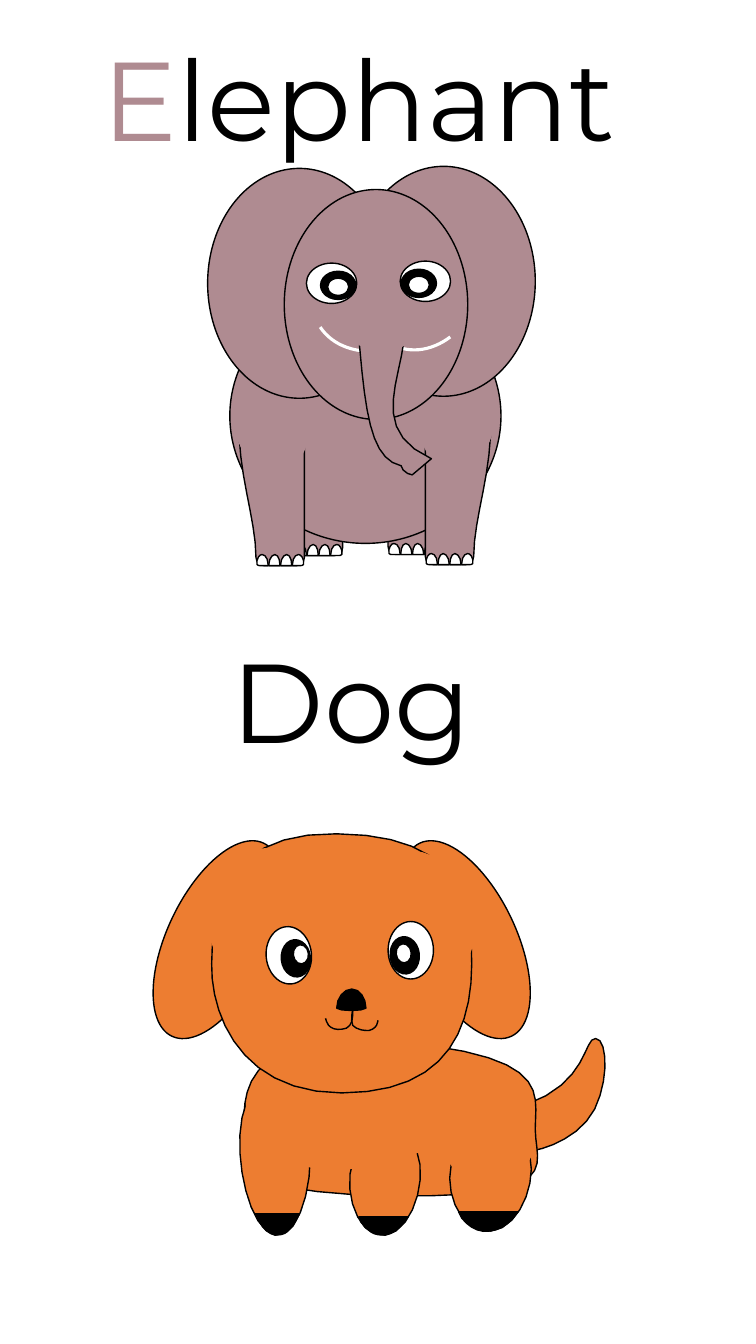
import math

import pptx
import pptx.dml.color
import pptx.enum.shapes
import pptx.enum.text
import pptx.util

RGBColor = pptx.dml.color.RGBColor
Inches = pptx.util.Inches
MSO_SHAPE = pptx.enum.shapes.MSO_SHAPE

PLUM = RGBColor(0xAF, 0x8B, 0x91)
ORANGE = RGBColor(0xED, 0x7D, 0x31)
BLACK = RGBColor(0, 0, 0)
WHITE = RGBColor(0xFF, 0xFF, 0xFF)

SMOOTHNESS = 7
TILT = -5.7
TOE_PITCH = 0.117
LEG_WIDTH = 0.65
TOE_WIDTH = 0.11

LEG = [(0.65, 0.32), (0.65, 0.28, 0.62, 0.24, 0.57, 0.24), (0.25, 0.24),
       (0.21, 0.24, 0.07, -0.04, 0.07, 0), (-0.13, 0.76, 0.17, 1.34, 0.17, 1.84),
       (0.17, 1.89, 0.21, 1.92, 0.25, 1.92), (0.57, 1.92),
       (0.62, 1.92, 0.65, 1.89, 0.65, 1.84)]
INNER_TOE = [(0.06, 0), (0.03, 0, 0, 0.05, 0, 0.1), (0, 0.11), (0.11, 0.11),
             (0.11, 0.1), (0.11, 0.05, 0.09, 0, 0.06, 0)]
OUTER_TOE = [(0.05, 0), (0.03, 0, 0.01, 0.02, 0, 0.06), (0, 0.1),
             (0.01, 0.11, 0.02, 0.11, 0.03, 0.11), (0.11, 0.11),
             (0.11, 0.1), (0.11, 0.04, 0.08, 0, 0.05, 0)]
TRUNK = [(2.02, 2.22), (2.02, 2.17, 1.99, 2.14, 1.95, 2.14), (1.63, 2.14),
         (1.58, 2.14, 1.55, 2.17, 1.55, 2.22), (1.62, 3.08, 1.67, 3.55, 1.98, 3.62),
         (1.98, 3.66, 2.05, 3.71, 2.09, 3.71), (2.28, 3.55),
         (1.62, 3.25, 2.02, 2.73, 2.02, 2.22)]

TAIL = [(4.21, 2.96), (4.84, 2.74, 4.79, 2.29, 4.91, 2.3), (5.02, 2.3, 5.05, 2.69, 4.9, 3),
        (4.74, 3.31, 4.34, 3.42, 4.22, 3.42), (4.11, 3.41, 3.59, 3.18, 4.21, 2.96)]
BODY = [(1.42, 3.2), (1.43, 2.95, 1.3, 2.19, 2.9, 2.33), (4.49, 2.47, 4.31, 2.84, 4.31, 3.2),
        (4.31, 3.56, 4.63, 3.89, 2.87, 3.86), (1.1, 3.83, 1.42, 3.46, 1.42, 3.2)]
DOG_LEGS = [
    [(3.87, 4.21), (3.43, 4.26, 3.23, 3.28, 3.87, 3.2), (4.5, 3.13, 4.3, 4.17, 3.87, 4.21)],
    [(2.82, 4.25), (2.44, 4.3, 2.27, 3.32, 2.82, 3.24), (3.37, 3.16, 3.2, 4.21, 2.82, 4.25)],
    [(1.73, 4.25), (2.1, 4.32, 2.28, 2.88, 1.73, 2.77), (1.18, 2.65, 1.35, 4.18, 1.73, 4.25)]]
BODY_PATCH = [(3.46, 3.1), (3.61, 2.47, 1.68, 2.01, 1.45, 2.93),
              (1.22, 3.84, 3.32, 3.73, 3.46, 3.1)]
HEAD = [(1.1, 1.56), (1.11, 1.03, 1.2, 0.25, 2.34, 0.27), (3.49, 0.28, 3.68, 0.84, 3.68, 1.56),
        (3.68, 2.27, 3.38, 2.84, 2.39, 2.84), (1.4, 2.84, 1.09, 2.08, 1.1, 1.56)]
SMOOTHING_PATCHES = [
    [(2.2, 1.18), (2.41, 0.53, 1.46, -0.03, 1.14, 0.92), (0.82, 1.86, 1.98, 1.83, 2.2, 1.18)],
    [(2.6, 1.22), (2.38, 0.57, 3.33, 0.01, 3.65, 0.95), (3.97, 1.9, 2.81, 1.87, 2.6, 1.22)],
    [(3.89, 3.76), (4.37, 3.73, 4.49, 2.97, 3.79, 3.01), (3.1, 3.04, 3.42, 3.79, 3.89, 3.76)]]
PAWS = [
    [(2.56, 4.07), (3.05, 4.07), (3, 4.13), (2.95, 4.2, 2.89, 4.24, 2.82, 4.25),
     (2.72, 4.26, 2.64, 4.21, 2.58, 4.12)],
    [(3.55, 4.02), (4.14, 4.02), (4.08, 4.09), (4.02, 4.16, 3.95, 4.2, 3.86, 4.21),
     (3.75, 4.23, 3.65, 4.17, 3.58, 4.08)],
    [(1.97, 4.04), (1.53, 4.04), (1.57, 4.11), (1.61, 4.19, 1.67, 4.24, 1.73, 4.25),
     (1.82, 4.26, 1.89, 4.2, 1.94, 4.1)]]
NOSE = [(2.63, 2), (2.63, 1.9, 2.57, 1.81, 2.49, 1.81), (2.41, 1.81, 2.34, 1.9, 2.34, 2),
        (2.36, 2.03, 2.61, 2.03, 2.63, 2)]
MOUTH = [
    [(2.5, 2), (2.49, 2.07, 2.48, 2.13, 2.5, 2.17), (2.52, 2.2, 2.59, 2.22, 2.62, 2.22),
     (2.66, 2.23, 2.7, 2.21, 2.72, 2.19), (2.74, 2.18, 2.75, 2.12, 2.75, 2.12)],
    [(2.5, 2.01), (2.5, 2.07, 2.5, 2.14, 2.47, 2.17), (2.45, 2.21, 2.38, 2.21, 2.35, 2.21),
     (2.31, 2.21, 2.28, 2.19, 2.26, 2.17), (2.24, 2.15, 2.23, 2.1, 2.23, 2.1)]]


def paint(sp, fill, line, width=1):
    """Set fill and outline, where None means not drawn."""
    sp.shadow.inherit = False
    if fill is None:
        sp.fill.background()
    else:
        sp.fill.solid()
        sp.fill.fore_color.rgb = fill
    if line is None:
        sp.line.fill.background()
    else:
        sp.line.color.rgb = line
        sp.line.width = pptx.util.Pt(width)


def flatten(outline):
    """Turn points and cubic curves into points, more of them on longer curves."""
    points = [outline[0]]
    for segment in outline[1:]:
        if len(segment) == 2:
            points.append(segment)
            continue
        controls = [points[-1], segment[:2], segment[2:4], segment[4:]]
        steps = math.ceil(SMOOTHNESS * math.sqrt(sum(map(math.dist, controls, controls[1:]))))
        for step in range(1, steps + 1):
            t = step / steps
            weights = ((1 - t) ** 3, 3 * t * (1 - t) ** 2, 3 * t * t * (1 - t), t ** 3)
            points.append(tuple(sum(w * c[axis] for w, c in zip(weights, controls))
                                for axis in (0, 1)))
    return points


def draw(g, x, y, outlines, fill, line=BLACK, close=True):
    """Draw outlines, measured from x, y, as one shape."""
    builder = None
    for outline in outlines:
        start, *rest = [(Inches(x + px), Inches(y + py)) for px, py in flatten(outline)]
        if builder is None:
            builder = g.shapes.build_freeform(*start)
        else:
            builder.move_to(*start)
        builder.add_line_segments(rest, close=close)
    paint(builder.convert_to_shape(), fill, line)


def mirror(outline, width):
    """Reflect an outline within a box of the given width."""
    return [tuple(width - v if i % 2 == 0 else v for i, v in enumerate(segment))
            for segment in outline]


def shift(outline, dx, dy):
    """Move an outline."""
    return [tuple(v + (dy if i % 2 else dx) for i, v in enumerate(segment))
            for segment in outline]


def oval(g, x, y, w, h, fill, line=BLACK, rotation=0):
    """Draw an ellipse."""
    sp = g.shapes.add_shape(MSO_SHAPE.OVAL, Inches(x), Inches(y), Inches(w), Inches(h))
    sp.rotation = rotation
    paint(sp, fill, line)


def smile(g, x, y, rotation):
    """Draw one white half of the elephant's smile."""
    sp = g.shapes.add_shape(MSO_SHAPE.ARC, Inches(x), Inches(y), Inches(1.26), Inches(1.64))
    sp.adjustments[0], sp.adjustments[1] = 140.28, 162
    sp.rotation = rotation
    paint(sp, None, WHITE, 2.25)


def elephant_leg(g, x, y, right):
    """Draw a leg with four toes, reflected on the right side."""
    toes = [OUTER_TOE, INNER_TOE, INNER_TOE, mirror(OUTER_TOE, TOE_WIDTH)]
    toes = [shift(toe, 0.18 + i * TOE_PITCH, 1.81) for i, toe in enumerate(toes)]
    for outlines, fill in (([LEG], PLUM), (toes, WHITE)):
        if right:
            outlines = [mirror(outline, LEG_WIDTH) for outline in outlines]
        draw(g, x, y, outlines, fill)


def elephant(slide, x, y):
    """Draw the elephant in the box that starts at x, y."""
    g = slide.shapes.add_group_shape()
    elephant_leg(g, x + 0.75, y + 2.59, False)
    elephant_leg(g, x + 1.85, y + 2.58, True)
    oval(g, x + 0.28, y + 1.86, 2.69, 2.53, PLUM)
    for left, top, right, patch_left, patch_top, turn in (
            (0.37, 2.69, False, 0.31, 2.6, -8.7), (2.22, 2.68, True, 2.15, 2.58, 3.6)):
        elephant_leg(g, x + left, y + top, right)
        oval(g, x + patch_left, y + patch_top, 0.76, 1.09, PLUM, None, turn)
    for left, top in ((1.49, 0.65), (0.06, 0.67), (0.82, 0.88)):
        oval(g, x + left, y + top, 1.82, 2.28, PLUM)
    for left, top, iris in ((1.04, 1.61, 0.14), (1.97, 1.59, 0.01)):
        oval(g, x + left, y + top, 0.5, 0.4, WHITE)
        oval(g, x + left + iris, y + top + 0.08, 0.35, 0.28, BLACK)
        oval(g, x + left + iris + 0.07, y + top + 0.15, 0.21, 0.17, WHITE)
    smile(g, x + 1.23, y + 0.97, 236.4)
    smile(g, x + 1.56, y + 0.84, 194.1)
    draw(g, x, y, [TRUNK], PLUM)
    oval(g, x + 1.46, y + 2.02, 0.66, 0.46, PLUM, PLUM)


def dog(slide, x, y):
    """Draw the dog in the box that starts at x, y."""
    g = slide.shapes.add_group_shape()
    draw(g, x, y, [TAIL], ORANGE)
    for left, turn in ((3.12, -25.4), (0.66, 25.4)):
        oval(g, x + left, y + 0.26, 1, 2.12, ORANGE, rotation=turn)
    draw(g, x, y, [BODY], ORANGE)
    draw(g, x, y, DOG_LEGS, ORANGE)
    draw(g, x, y, [BODY_PATCH], ORANGE, ORANGE)
    draw(g, x, y, [HEAD], ORANGE)
    draw(g, x, y, SMOOTHING_PATCHES, ORANGE, ORANGE)
    draw(g, x, y, PAWS, BLACK)
    for eye, iris, glint, turn in (((2.85, 1.14), (2.87, 1.29), (2.93, 1.36), 0),
                                   ((1.64, 1.19), (1.79, 1.32), (1.91, 1.37), TILT)):
        oval(g, x + eye[0], y + eye[1], 0.45, 0.57, WHITE, rotation=turn)
        oval(g, x + iris[0], y + iris[1], 0.29, 0.37, BLACK, rotation=TILT)
        oval(g, x + glint[0], y + glint[1], 0.15, 0.19, WHITE, rotation=TILT)
    draw(g, x, y, [NOSE], BLACK)
    draw(g, x, y, MOUTH, None, close=False)


def title(slide, x, y, w, h, *runs):
    """Write an animal's name from text and colour pairs."""
    tf = slide.shapes.add_textbox(Inches(x), Inches(y), Inches(w), Inches(h)).text_frame
    tf.word_wrap = True
    tf.auto_size = pptx.enum.text.MSO_AUTO_SIZE.SHAPE_TO_FIT_TEXT
    p = tf.paragraphs[0]
    p.font.name = "Montserrat"
    p.font.size = pptx.util.Pt(80)
    for text, color in runs:
        r = p.add_run()
        r.text = text
        r.font.color.rgb = color


prs = pptx.Presentation()
prs.slide_width, prs.slide_height = Inches(7.5), Inches(13.33)
slide = prs.slides.add_slide(prs.slide_layouts[6])
dog(slide, 1, 8)
title(slide, 2.2, 6.21, 2.81, 1.45, ("Dog", BLACK))
title(slide, 0.92, 0.24, 5.7, 1.45, ("E", PLUM), ("lephant", BLACK))
elephant(slide, 2, 1)
prs.save("out.pptx")
